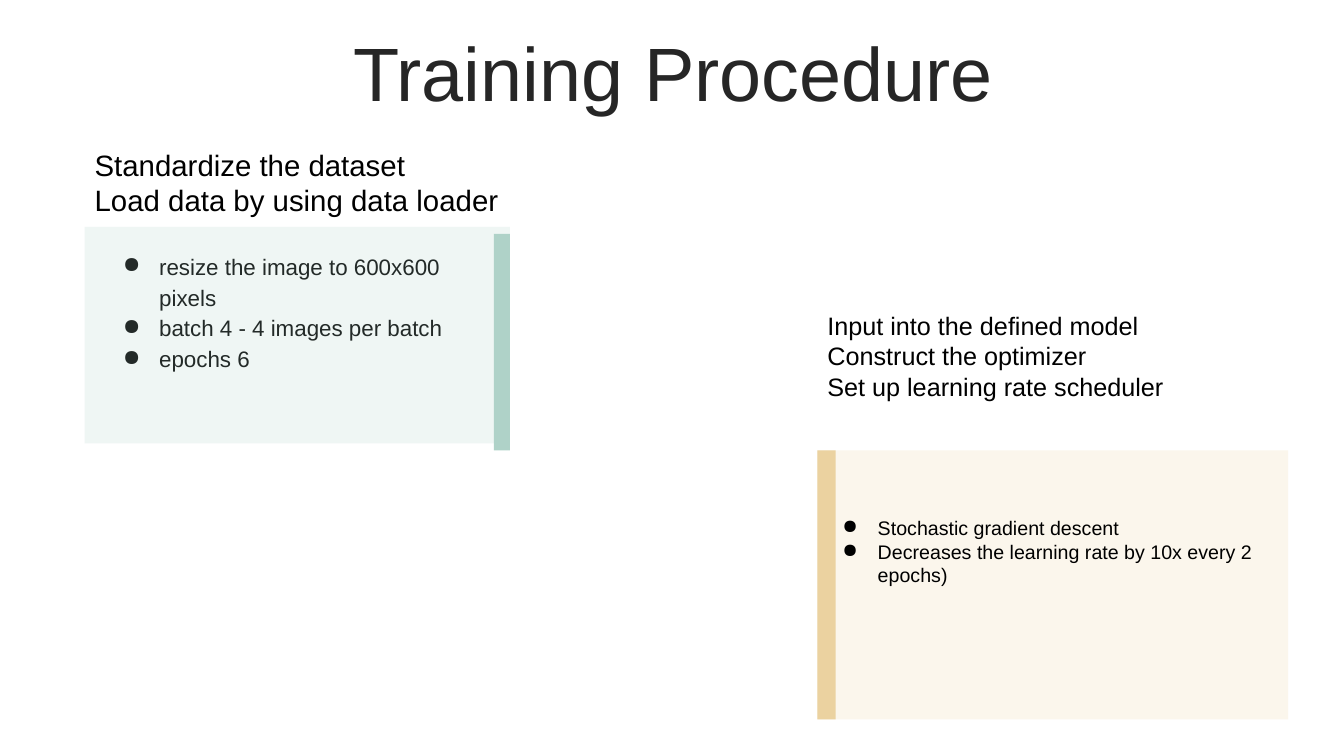
from lxml import etree
from pptx import Presentation
from pptx.dml.color import RGBColor
from pptx.enum.shapes import MSO_SHAPE
from pptx.enum.text import MSO_ANCHOR as Anchor, PP_ALIGN as Align
from pptx.oxml.ns import qn
from pptx.util import Pt

FONT = "Arial"
BLACK = RGBColor(0x00, 0x00, 0x00)
CHARCOAL = RGBColor(0x26, 0x26, 0x26)
GREEN = RGBColor(0xAF, 0xD2, 0xC8)
SAND = RGBColor(0xEB, 0xD2, 0xA0)


def add_panel(slide, left, top, width, height, color, opacity=100):
    """Add a borderless rectangle; opacity is in percent."""
    panel = slide.shapes.add_shape(
        MSO_SHAPE.RECTANGLE, Pt(left), Pt(top), Pt(width), Pt(height))
    panel.shadow.inherit = False
    panel.line.fill.background()
    panel.fill.solid()
    panel.fill.fore_color.rgb = color
    if opacity < 100:
        color_node = panel.fill._xPr.find(".//" + qn("a:srgbClr"))
        etree.SubElement(color_node, qn("a:alpha"), val=str(opacity * 1000))
    return panel


def add_bullet(para, hanging):
    properties = para._p.get_or_add_pPr()
    properties.set("marL", str(Pt(36)))
    properties.set("indent", str(-Pt(hanging)))
    bullet_color = etree.SubElement(properties, qn("a:buClr"))
    etree.SubElement(bullet_color, qn("a:srgbClr"), val=str(BLACK))
    etree.SubElement(properties, qn("a:buChar"), char="●")


def add_text(slide, left, top, width, height, lines, size, color=BLACK,
             align=Align.LEFT, anchor=Anchor.TOP, inset=7.2,
             spacing=1.0, hanging=0):
    """Add one paragraph per line; a hanging indent turns them into bullets."""
    box = slide.shapes.add_textbox(Pt(left), Pt(top), Pt(width), Pt(height))
    frame = box.text_frame
    frame.word_wrap = True
    frame.vertical_anchor = anchor
    frame.margin_left = frame.margin_right = Pt(7.2)
    frame.margin_top = frame.margin_bottom = Pt(inset)
    frame.text = "\n".join(lines)
    for para in frame.paragraphs:
        if hanging:
            add_bullet(para, hanging)
        para.alignment = align
        para.line_spacing = spacing
        for span in para.runs:
            span.font.name = FONT
            span.font.size = Pt(size)
            span.font.color.rgb = color


def main():
    deck = Presentation()
    deck.slide_width, deck.slide_height = Pt(960), Pt(540)
    slide = deck.slides.add_slide(deck.slide_layouts[6])

    add_text(slide, 25.2, 26.6, 911.5, 56.9, ["Training Procedure"], 54,
             CHARCOAL, Align.CENTER, Anchor.MIDDLE, inset=3.6, spacing=0.9)

    add_panel(slide, 583.9, 321.8, 336.2, 192.2, SAND, opacity=20)
    add_panel(slide, 583.9, 321.8, 13, 192.2, SAND)
    add_text(slide, 583.9, 365.2, 336.2, 70,
             ["Stochastic gradient descent",
              "Decreases the learning rate by 10x every 2 epochs)"],
             14, inset=3.6, hanging=25.2)

    add_text(slide, 60.5, 97.9, 776.9, 116.6,
             ["Standardize the dataset", "Load data by using data loader"], 21)
    add_text(slide, 583.9, 214.6, 365, 79.9,
             ["Input into the defined model", "Construct the optimizer",
              "Set up learning rate scheduler"], 18)

    add_text(slide, 70.6, 174.2, 283.7, 139.7,
             ["resize the image to 600x600 pixels",
              "batch 4 - 4 images per batch", "epochs 6"],
             16, inset=3.6, spacing=1.15, hanging=25.9)
    add_panel(slide, 352.8, 167, 11.5, 154.8, GREEN)
    add_panel(slide, 60.5, 162, 303.8, 154.8, GREEN, opacity=20)

    deck.save("out.pptx")


if __name__ == "__main__":
    main()
